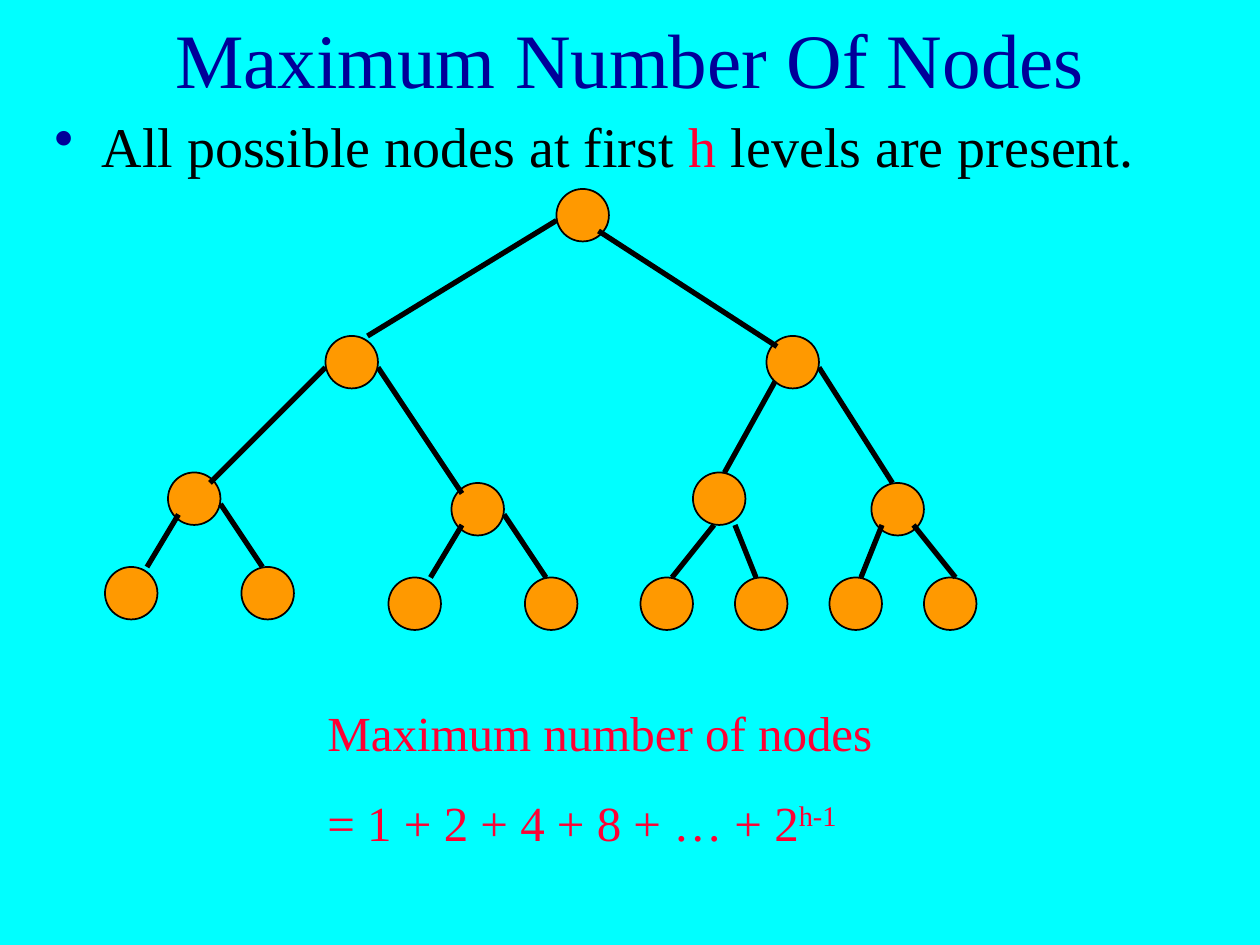
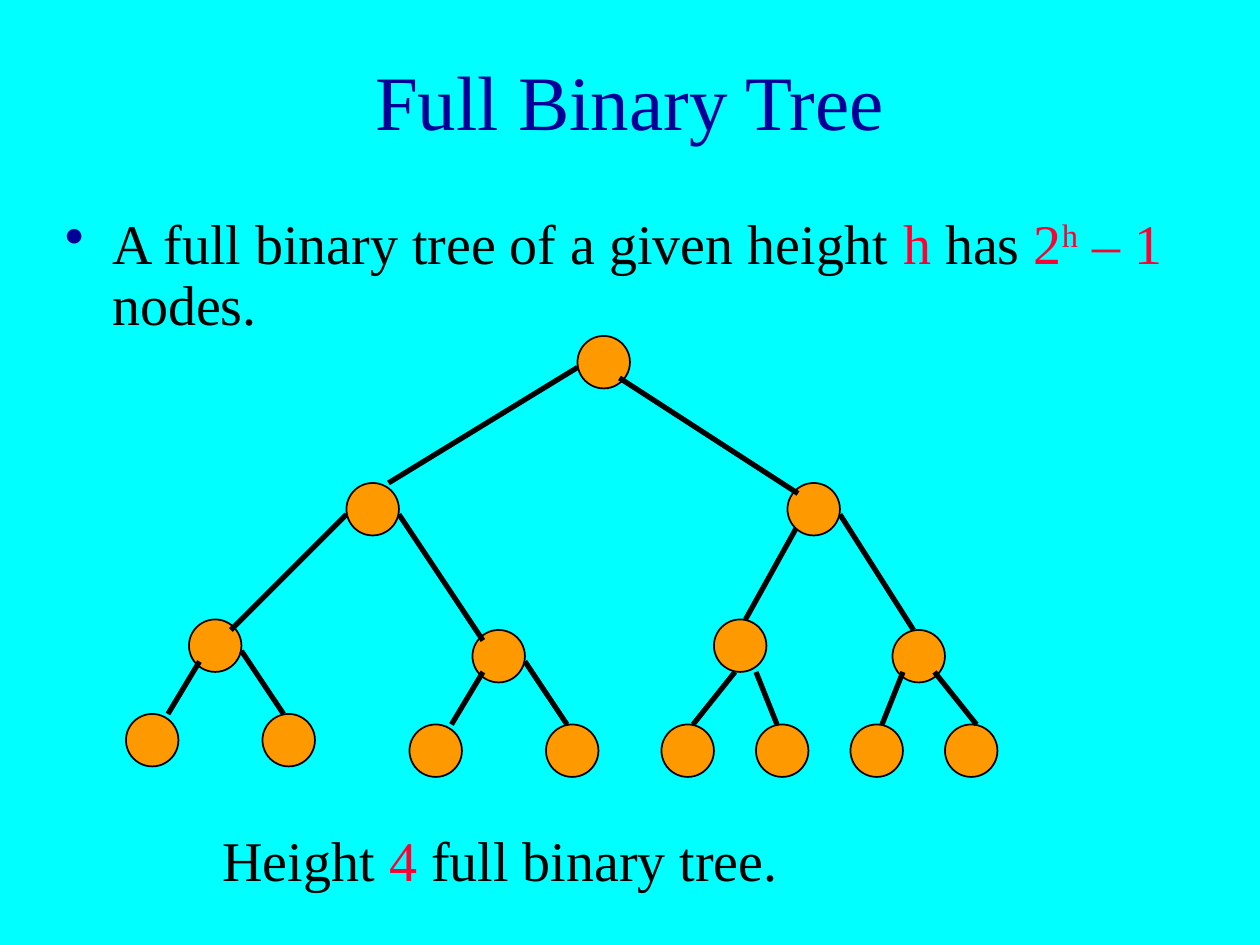
import pptx
import pptx.util
import pptx.dml.color
import pptx.enum.shapes
import pptx.enum.text
import pptx.oxml
import pptx.oxml.ns

Pt = pptx.util.Pt
RGB = pptx.dml.color.RGBColor
ALIGN = pptx.enum.text.PP_ALIGN
ANCHOR = pptx.enum.text.MSO_ANCHOR
LINE = pptx.enum.shapes.MSO_CONNECTOR.STRAIGHT
OVAL = pptx.enum.shapes.MSO_SHAPE.OVAL

CYAN = RGB(0x00, 0xFF, 0xFF)
NAVY = RGB(0x00, 0x00, 0x99)
RED = RGB(0xFF, 0x00, 0x33)
BLACK = RGB(0x00, 0x00, 0x00)
AMBER = RGB(0xFF, 0x99, 0x00)
FONT = "Times New Roman"
NS = pptx.oxml.ns.nsdecls("a")

SIZE = 30  # diameter of a node
# Node position, then where its edge leaves the parent and meets the node.
# The parent of node i is node (i - 1) // 2.
NODES = [
    ((258, 0), None, None),
    ((126, 84), (0, 18), (24, 0)),
    ((378, 84), (24, 24), (6, 6)),
    ((36, 162), (0, 18), (24, 6)),
    ((198, 168), (30, 18), (6, 6)),
    ((336, 162), (6, 24), (18, 0)),
    ((438, 168), (30, 18), (12, 0)),
    ((0, 216), (6, 24), (24, 0)),
    ((78, 216), (30, 18), (12, 0)),
    ((162, 222), (6, 24), (24, 0)),
    ((240, 222), (30, 18), (12, 0)),
    ((306, 222), (12, 30), (18, 0)),
    ((360, 222), (24, 30), (12, 0)),
    ((414, 222), (6, 24), (18, 0)),
    ((468, 222), (24, 24), (18, 0)),
]
LAYERS = [range(3, 7), range(0, 3), range(7, 15)]  # back to front


def add_box(slide, box):
    frame = slide.shapes.add_textbox(*map(Pt, box)).text_frame
    frame.word_wrap = True
    return frame


def add_run(para, text, size, color, base=0):
    run = para.add_run()
    run.text = text
    run.font.name = FONT
    run.font.size = Pt(size)
    run.font.color.rgb = color
    if base:
        run.font._element.set("baseline", str(base * 1000))


def add_title(slide, box, text):
    frame = add_box(slide, box)
    frame.vertical_anchor = ANCHOR.MIDDLE
    para = frame.paragraphs[0]
    para.alignment = ALIGN.CENTER
    add_run(para, text, 44, NAVY)


def add_text(slide, box, lines, size, gap=0):
    """Write lines, each a list of runs, with a gap between them."""
    frame = add_box(slide, box)
    for i, runs in enumerate(lines):
        para = frame.add_paragraph() if i else frame.paragraphs[0]
        if i:
            para.space_before = Pt(gap)
        for run in runs:
            add_run(para, run[0], size, *run[1:])
    return frame


def add_point(slide, box, runs, pitch=1.0):
    para = add_text(slide, box, [runs], 32).paragraphs[0]
    props = para._p.get_or_add_pPr()
    props.set("marL", str(Pt(27)))
    props.set("indent", str(-Pt(27)))
    for xml in (f'<a:buClr {NS}><a:srgbClr val="{NAVY}"/></a:buClr>',
                f'<a:buChar {NS} char="•"/>'):
        props.append(pptx.oxml.parse_xml(xml))
    para.line_spacing = pitch


def add_node(slide, left, top):
    node = slide.shapes.add_shape(OVAL, Pt(left), Pt(top), Pt(SIZE), Pt(SIZE))
    node.shadow.inherit = False
    node.fill.solid()
    node.fill.fore_color.rgb = AMBER
    node.line.color.rgb = BLACK
    node.line.width = Pt(1)


def add_edge(slide, start, end):
    edge = slide.shapes.add_connector(LINE, *map(Pt, (*start, *end)))
    edge.line.color.rgb = BLACK
    edge.line.width = Pt(3)
    edge._element.spPr.append(pptx.oxml.parse_xml(f"<a:effectLst {NS}/>"))


def add_tree(slide, left, top):
    def place(i, shift=(0, 0)):
        x, y = NODES[i][0]
        return left + x + shift[0], top + y + shift[1]

    for layer in LAYERS:
        for i in layer:
            add_node(slide, *place(i))
        for i in layer:
            if i:
                _, leave, meet = NODES[i]
                add_edge(slide, place((i - 1) // 2, leave), place(i, meet))


def add_slide(deck):
    slide = deck.slides.add_slide(deck.slide_layouts[6])
    slide.background.fill.solid()
    slide.background.fill.fore_color.rgb = CYAN
    return slide


def count_slide(deck):
    slide = add_slide(deck)
    add_title(slide, (54, 0, 612, 66), "Maximum Number Of Nodes")
    add_point(slide, (24, 60, 672, 84), [
        ("All possible nodes at first ", BLACK), ("h", RED),
        (" levels are present.", BLACK)])
    add_tree(slide, 60, 108)
    add_text(slide, (180, 398, 348, 92), [
        [("Maximum number of nodes", RED)],
        [("= 1 + 2 + 4 + 8 + … + 2", RED), ("h-1", RED, 30)]], 28, 17.5)


def full_slide(deck):
    slide = add_slide(deck)
    add_title(slide, (54, 12, 612, 90), "Full Binary Tree")
    add_point(slide, (30, 120, 654, 78), [
        ("A full binary tree of a given height ", BLACK), ("h", RED),
        (" has ", BLACK), ("2", RED), ("h", RED, 30), (" – 1 ", RED),
        ("nodes.", BLACK)], 0.9)
    add_tree(slide, 72, 192)
    add_text(slide, (120, 468, 516, 46), [
        [("Height ", BLACK), ("4", RED), (" full binary tree.", BLACK)]], 32)


def main():
    deck = pptx.Presentation()
    deck.slide_width, deck.slide_height = Pt(720), Pt(540)
    count_slide(deck)
    full_slide(deck)
    deck.save("out.pptx")


if __name__ == "__main__":
    main()
